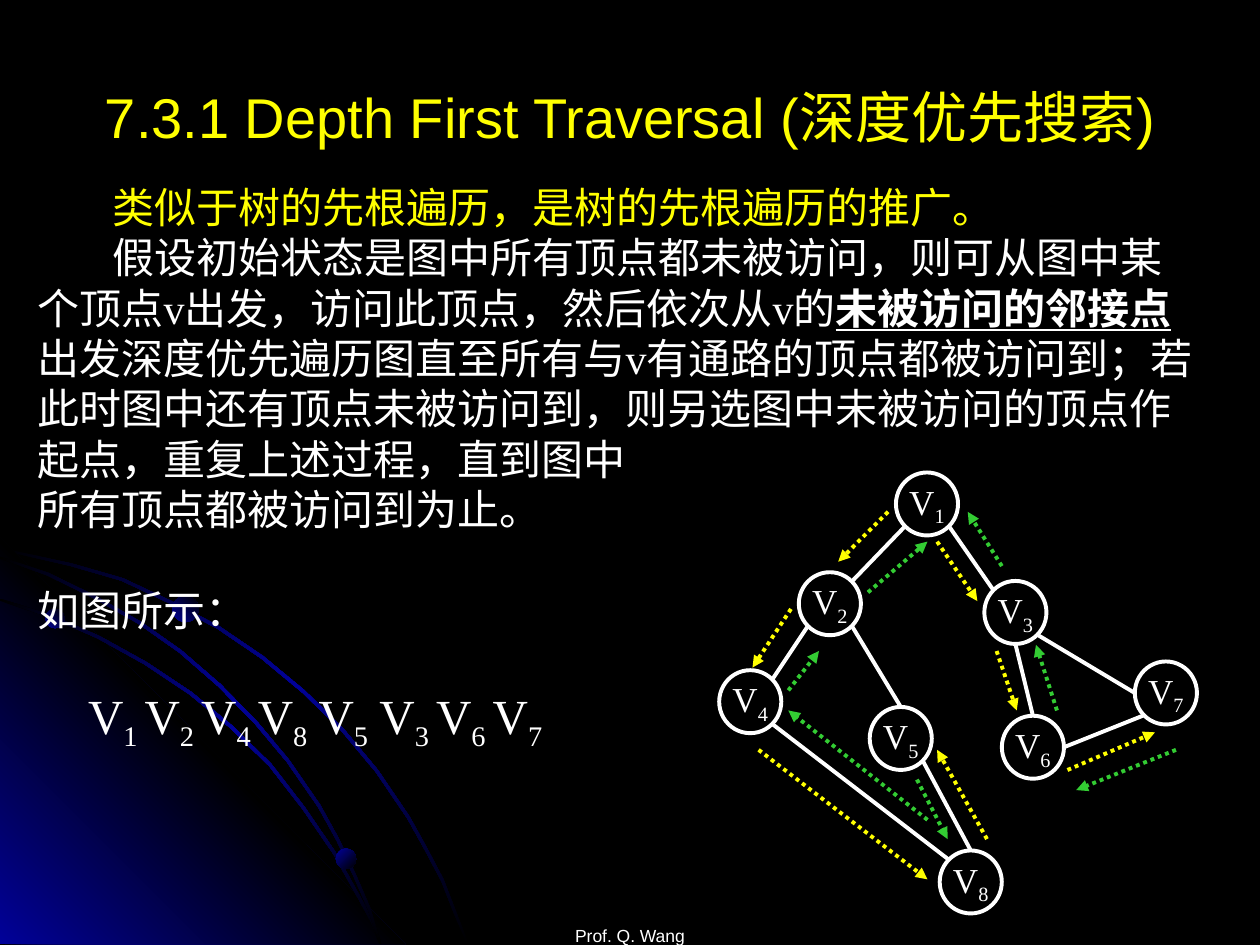
from math import cos, radians, sin

from lxml.etree import SubElement
from pptx import Presentation
from pptx.dml.color import RGBColor
from pptx.enum.dml import MSO_LINE
from pptx.enum.shapes import MSO_CONNECTOR, MSO_SHAPE
from pptx.enum.text import MSO_ANCHOR as Anchor, PP_ALIGN as Align
from pptx.oxml import parse_xml
from pptx.oxml.ns import nsdecls, qn
from pptx.util import Pt

COLORS = {"black": "000000", "blue": "010199", "white": "FFFFFF",
          "yellow": "FFFF00", "green": "33CC33"}
SANS, SERIF = "Arial", "Times New Roman"

NODE_W, NODE_H = 35.5, 36
NODES = {1: (101, 0), 2: (45.5, 57), 3: (151.5, 62), 4: (0, 113),
         5: (86, 134), 6: (161.5, 139), 7: (237.5, 108), 8: (126, 216)}
RIGHT, LOWER_RIGHT, BOTTOM, LOWER_LEFT = 0, 45, 90, 135
LEFT, UPPER_LEFT, TOP, UPPER_RIGHT = 180, 225, 270, 315
EDGES = [(1, LOWER_LEFT, 2, UPPER_RIGHT), (2, LOWER_LEFT, 4, UPPER_RIGHT),
         (1, LOWER_RIGHT, 3, UPPER_LEFT), (4, LOWER_RIGHT, 8, UPPER_LEFT),
         (2, LOWER_RIGHT, 5, TOP), (5, LOWER_RIGHT, 8, TOP),
         (3, BOTTOM, 6, TOP), (3, LOWER_RIGHT, 7, LEFT),
         (6, RIGHT, 7, LOWER_LEFT)]
STEPS = {
    "yellow": [(96.5, 22.5, 68, 51), (41, 78, 19, 111.5),
               (22.5, 158.5, 119, 232.5), (153, 209.5, 124.5, 158.5),
               (124.5, 39.5, 147.5, 73.5), (158.5, 102, 170, 136),
               (199, 170, 249, 148.5)],
    "green": [(113, 175.5, 130.5, 209.5), (119, 198.5, 39.5, 136),
              (39.5, 124.5, 57, 102), (85, 68.5, 119, 39.5),
              (261, 158.5, 204, 181.5), (193, 136, 181, 98.5),
              (161.5, 53.5, 142, 22.5)],
}
RIBBONS = [
    [(0, 6), (41, 15), (70.5, 23.5), (98, 36.5), (125.5, 51), (150.5, 68),
     (174, 87.5), (196, 109), (216, 133), (234, 159.5), (244, 177.5),
     (253.5, 195.5), (260.5, 213.5), (268, 232.5)],
    [(0, 35), (29.5, 44.5), (57, 56.5), (84, 71.5), (109.5, 88.5),
     (132.5, 107.5), (155, 129.5), (174, 154), (191.5, 179.5),
     (206, 205.5), (213, 218.5), (218, 232.5)],
    [(0, 11), (28, 20.5), (54.5, 33.5), (80, 48), (103.5, 64.5), (126, 84),
     (147, 105.5), (165, 127), (183, 153), (193.5, 172), (203, 192),
     (211.5, 211.5), (218, 232.5)],
]


def rgb(color):
    return RGBColor.from_string(COLORS[color])


def add_span(para, text, size, font, color, sub=False, strong=False):
    span = para.add_run()
    span.text = text
    span.font.size = Pt(size)
    span.font.name = font
    span.font.color.rgb = rgb(color)
    if strong:
        span.font.bold = span.font.underline = True
    if sub:
        span.font._element.set("baseline", "-25000")


def add_box(page, left, top, width, height, anchor=Anchor.TOP, wrap=True):
    box = page.shapes.add_textbox(Pt(left), Pt(top), Pt(width), Pt(height))
    box.text_frame.word_wrap = wrap
    box.text_frame.vertical_anchor = anchor
    return box.text_frame


def add_line(page, start, end, color, arrow=False):
    line = page.shapes.add_connector(
        MSO_CONNECTOR.STRAIGHT, *(Pt(value) for value in (*start, *end)))
    SubElement(line._element.spPr, qn("a:effectLst"))
    line.line.color.rgb = rgb(color)
    line.line.width = Pt(2.25)
    if arrow:
        line.line.dash_style = MSO_LINE.ROUND_DOT
        SubElement(line.line._get_or_add_ln(), qn("a:tailEnd"), type="triangle")


def set_gradient(shape, colors, angle):
    shape.shadow.inherit = False
    shape.line.fill.background()
    shape.fill.background()
    last = len(colors) - 1
    stops = "".join(
        f'<a:gs pos="{100000 * i // last}"><a:srgbClr val="{COLORS[color]}"/></a:gs>'
        for i, color in enumerate(colors))
    gradient = parse_xml(
        f'<a:gradFill {nsdecls("a")} rotWithShape="1"><a:gsLst>{stops}</a:gsLst>'
        f'<a:lin ang="{angle * 60000}" scaled="1"/></a:gradFill>')
    properties = shape._element.spPr
    properties.replace(properties.find(qn("a:noFill")), gradient)


def add_outline(page, left, top, points, colors, angle):
    corners = [(Pt(left + x), Pt(top + y)) for x, y in points]
    builder = page.shapes.build_freeform(*corners[0])
    builder.add_line_segments(corners[1:], close=True)
    set_gradient(builder.convert_to_shape(), colors, angle)


def add_orbits(page, left, top, height):
    glow = ["black", "blue", "black"]
    for i, ribbon in enumerate(RIBBONS):
        inner = [(max(0, x - 1.2), min(height, y + 1.3)) for x, y in ribbon]
        add_outline(page, left, top, ribbon + inner[::-1], glow, 45)
        if i == 0:
            corner = [(height - 1, height), (0, height), (0, 0)]
            add_outline(page, left, top, corner, ["blue", "black", "blue"], 315)
    for x, y, size, angle in [(26, 41, 11, 315), (192, 178, 11.5, 45),
                              (98.5, 33.5, 15, 315)]:
        planet = page.shapes.add_shape(
            MSO_SHAPE.OVAL, Pt(left + x), Pt(top + y), Pt(size), Pt(size))
        set_gradient(planet, ["blue", "black"], angle)


def add_title(page, left, top, width, height):
    para = add_box(page, left, top, width, height, Anchor.MIDDLE).paragraphs[0]
    para.alignment = Align.CENTER
    add_span(para, "7.3.1 Depth First Traversal (深度优先搜索)", 32, SANS, "yellow")


def add_description(page, left, top, width, height):
    frame = add_box(page, left, top, width, height)
    rows = [
        (43, 0, "yellow", ["类似于树的先根遍历，是树的先根遍历的推广。"]),
        (43, 0, "white", [
            "假设初始状态是图中所有顶点都未被访问，则可从图中某个顶点v出发，"
            "访问此顶点，然后依次从v的",
            "未被访问的邻接点",
            "出发深度优先遍历图直至所有与v有通路的顶点都被访问到；"
            "若此时图中还有顶点未被访问到，则另选图中未被访问的顶点作起点，"
            "重复上述过程，直到图中"]),
        (0, 0, "white", ["所有顶点都被访问到为止。"]),
        (0, 29, "white", ["如图所示："]),
    ]
    for i, (indent, before, color, texts) in enumerate(rows):
        para = frame.add_paragraph() if i else frame.paragraphs[0]
        if indent:
            para._p.get_or_add_pPr().set("indent", str(Pt(indent)))
        if before:
            para.space_before = Pt(before)
        for j, text in enumerate(texts):
            add_span(para, text, 24, SERIF, color, strong=j == 1)


def add_visit_order(page, left, top, width, height):
    para = add_box(page, left, top, width, height, wrap=False).paragraphs[0]
    for letter, number in [("V", "1 "), ("V", "2 "), ("V", "4 "), ("V", "8"),
                           (" V", "5"), (" V", "3 "), ("V", "6 "), ("V", "7")]:
        add_span(para, letter, 28, SERIF, "white")
        add_span(para, number, 28, SERIF, "white", sub=True)


def add_graph(page, left, top):
    def rim(number, angle):
        x, y = NODES[number]
        turn = radians(angle)
        return (left + x + NODE_W / 2 * (1 + cos(turn)),
                top + y + NODE_H / 2 * (1 + sin(turn)))

    for number, (x, y) in NODES.items():
        node = page.shapes.add_shape(
            MSO_SHAPE.OVAL, Pt(left + x), Pt(top + y), Pt(NODE_W), Pt(NODE_H))
        node.shadow.inherit = False
        node.fill.background()
        node.line.color.rgb = rgb("white")
        node.line.width = Pt(2.25)
        node.text_frame.word_wrap = False
        node.text_frame.vertical_anchor = Anchor.MIDDLE
        para = node.text_frame.paragraphs[0]
        para.alignment = Align.CENTER
        add_span(para, "V", 20, SERIF, "white")
        add_span(para, str(number), 20, SERIF, "white", sub=True)
    for start, start_angle, end, end_angle in EDGES:
        add_line(page, rim(start, start_angle), rim(end, end_angle), "white")
    for color, steps in STEPS.items():
        for x1, y1, x2, y2 in steps:
            add_line(page, (left + x1, top + y1), (left + x2, top + y2), color, True)


def add_footer(page, left, top, width, height):
    frame = add_box(page, left, top, width, height, Anchor.BOTTOM)
    frame.margin_bottom = 0
    para = frame.paragraphs[0]
    para.alignment = Align.CENTER
    add_span(para, "Prof. Q. Wang", 10, SANS, "white")


def main():
    deck = Presentation()
    deck.slide_width, deck.slide_height = Pt(720), Pt(540)
    page = deck.slides.add_slide(deck.slide_layouts[6])
    page.background.fill.solid()
    page.background.fill.fore_color.rgb = rgb("black")
    add_orbits(page, 0, 307, 232.5)
    add_footer(page, 246, 504.5, 228, 36)
    add_description(page, 14.4, 100, 677, 266.5)
    add_graph(page, 411, 270)
    add_title(page, 36, 21.6, 648, 90)
    add_visit_order(page, 43.2, 388, 275, 45.5)
    deck.save("out.pptx")


if __name__ == "__main__":
    main()
